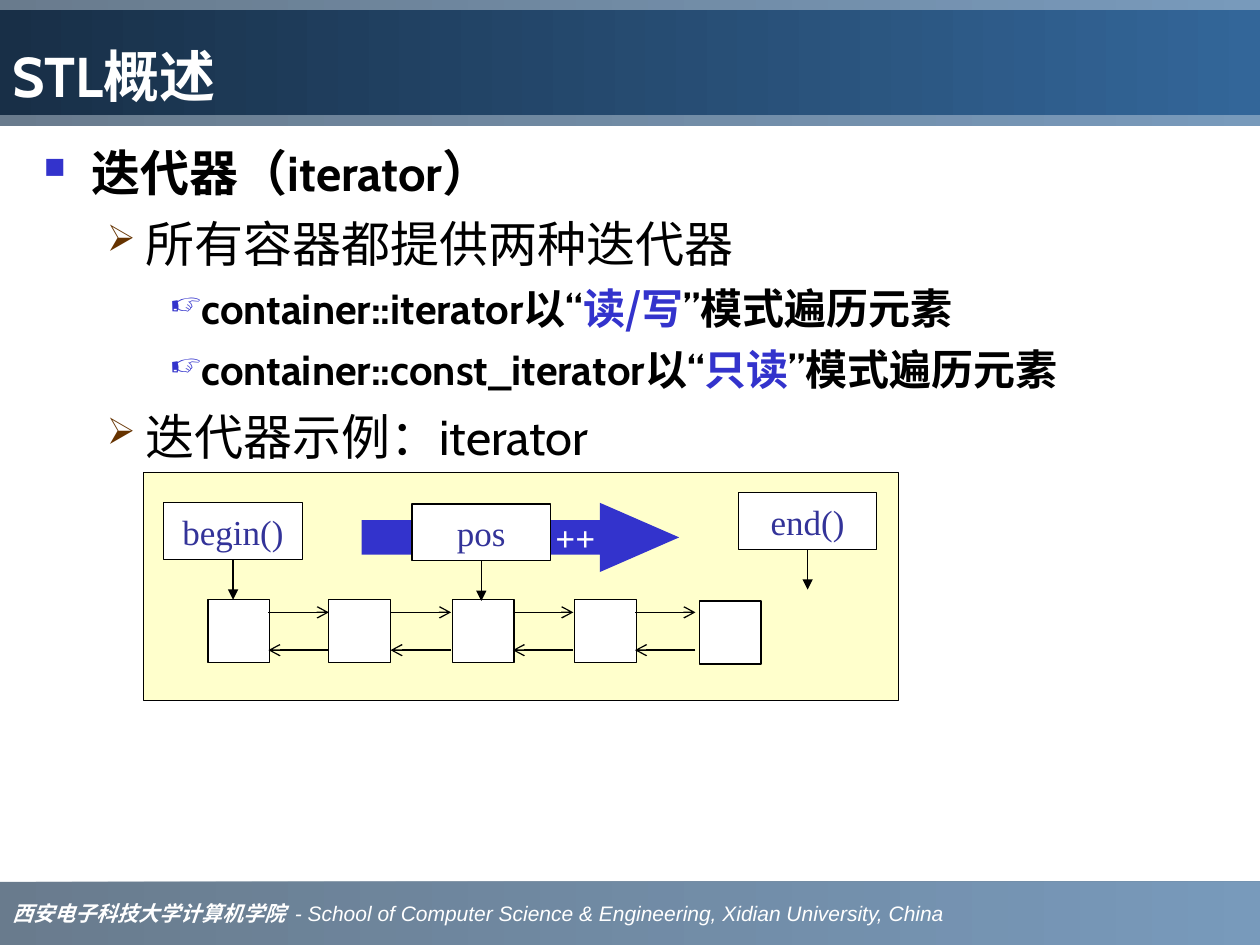
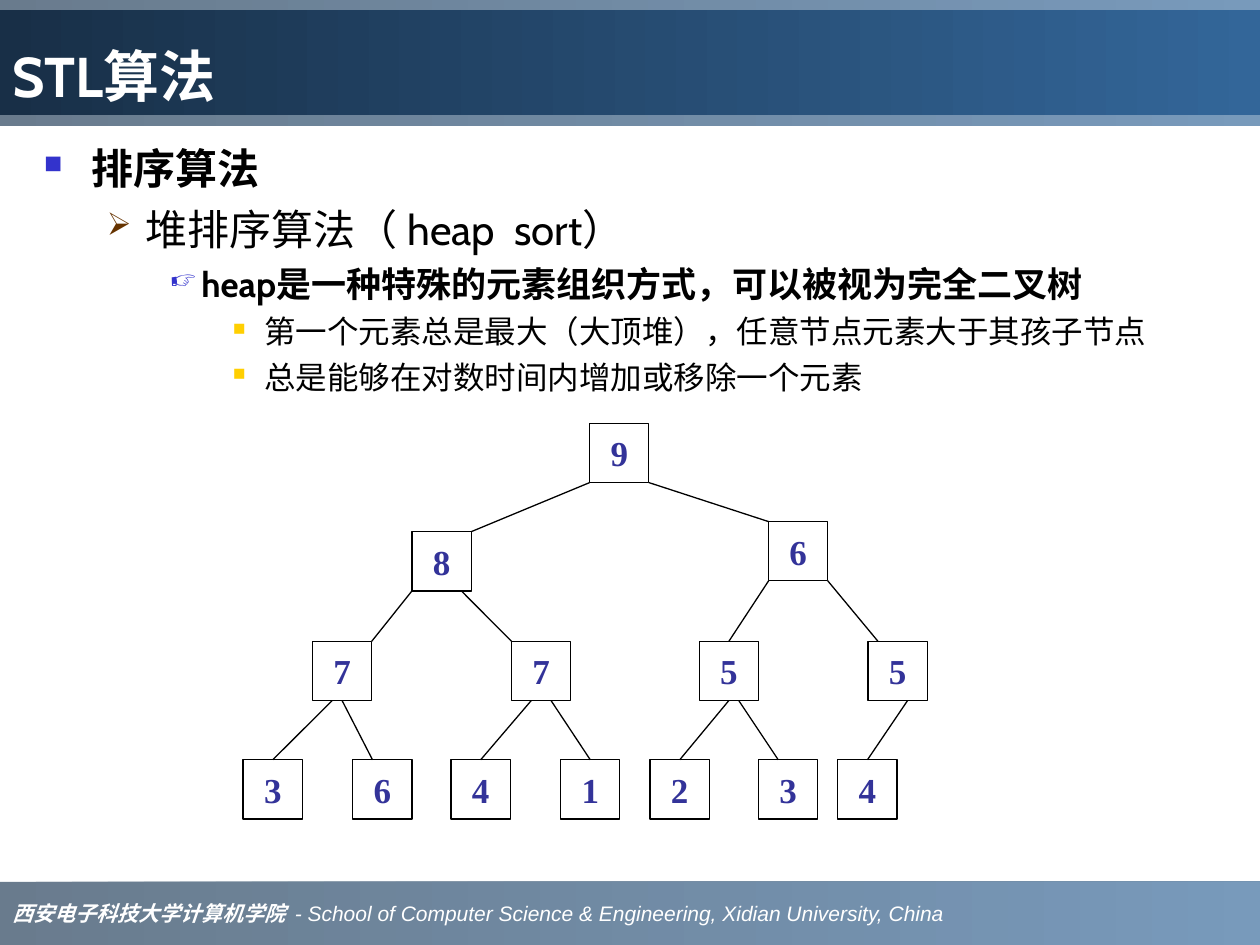
"""Build two lecture slides: STL iterators and the heap sort tree."""
from dataclasses import dataclass

from lxml import etree
from pptx import Presentation
from pptx import util as u
from pptx.dml.color import RGBColor
from pptx.enum import shapes, text
from pptx.oxml import ns


@dataclass(frozen=True)
class Theme:
    ink: str = "000000"
    white: str = "FFFFFF"
    blue: str = "3333CC"
    label: str = "333399"
    brown: str = "663300"
    gold: str = "FFCF01"
    panel: str = "FFFFCC"
    band: tuple = ("1C3853", "336699")
    title_band: tuple = ("182F47", "336699")
    band_alpha: int = 66
    font: str = "Cabin"
    serif: str = "Times New Roman"
    cjk: str = "Noto Sans CJK SC"
    sans: str = "Arial"
    title_size: int = 32
    label_size: int = 20
    footer_size: int = 12
    line_width: float = 0.75


THEME = Theme()
SERIF = {"font": THEME.serif}
BLUE = {"color": THEME.blue}

FOOTER = [
    ("西安电子科技大学计算机学院  ", {"font": THEME.serif, "bold": True}),
    ("- School of Computer Science & Engineering, Xidian University, China", {"font": THEME.sans}),
]

LEVELS = [
    {"indent": 0.38, "hang": 0.38, "bullet": "■", "color": THEME.blue, "scale": 60, "bold": True},
    {"indent": 0.81, "hang": 0.31, "bullet": "➢", "color": THEME.brown, "scale": 75, "bold": False},
    {"indent": 1.25, "hang": 0.25, "bullet": "☞", "color": THEME.blue, "scale": 75, "bold": True},
    {"indent": 1.75, "hang": 0.25, "bullet": "■", "color": THEME.gold, "scale": 55, "bold": False},
]

ITERATOR_OUTLINE = [
    (0, 28, 0, ["迭代器（iterator）"]),
    (1, 28, 7, ["所有容器都提供两种迭代器"]),
    (2, 24, 6, ["container::iterator以", ("“", SERIF), ("读/写", {"font": THEME.cjk, **BLUE}),
                ("”", SERIF), "模式遍历元素"]),
    (2, 24, 6, ["container::const_iterator以", ("“", SERIF), ("只读", BLUE),
                ("”", SERIF), "模式遍历元素"]),
    (1, 28, 7, ["迭代器示例：iterator"]),
]
HEAP_OUTLINE = [
    (0, 24, 0, ["排序算法"]),
    (1, 24, 6, ["堆排序算法（ heap  sort）"]),
    (2, 20, 5, ["heap是一种特殊的元素组织方式，可以被视为完全二叉树"]),
    (3, 18, 4.5, ["第一个元素总是最大（大顶堆），任意节点元素大于其孩子节点"]),
    (3, 18, 4.5, ["总是能够在对数时间内增加或移除一个元素"]),
]

LIST_CELLS = [(1.65, 4.76), (2.61, 4.76), (3.59, 4.76), (4.56, 4.76), (5.55, 4.77)]
LINK_START, LINK_STEP, LINK_LENGTH = 2.13, 0.97, 0.48
NEXT_Y, PREVIOUS_Y = 4.86, 5.16
POINTERS = [("begin()", 1.3, 3.99), ("end()", 5.86, 3.91), ("pos", 3.27, 4.0)]
POINTER_SIZE, POINTER_DROP = (1.1, 0.45), 0.32

NODE = 0.47
# Value, left, top, then where the edge leaves the parent and meets the node, in sixths of a side.
HEAP = [
    ("9", 4.68, 3.36, None, None),
    ("8", 3.27, 4.22, 0, 6), ("6", 6.1, 4.14, 6, 0),
    ("7", 2.48, 5.09, 0, 6), ("7", 4.06, 5.09, 5, 0),
    ("5", 5.55, 5.09, 0, 3), ("5", 6.89, 5.09, 6, 1),
    ("3", 1.93, 6.03, 2, 3), ("6", 2.8, 6.03, 3, 2),
    ("4", 3.58, 6.03, 2, 3), ("1", 4.45, 6.03, 4, 3),
    ("2", 5.16, 6.03, 3, 3), ("3", 6.02, 6.03, 4, 2),
    ("4", 6.65, 6.03, 4, 3),
]


def add_xml(parent, tag, **attributes):
    return etree.SubElement(parent, ns.qn(tag), **attributes)


def set_bullet(paragraph, level):
    properties = paragraph._p.get_or_add_pPr()
    properties.set("marL", str(u.Inches(level["indent"])))
    properties.set("indent", str(-u.Inches(level["hang"])))
    add_xml(add_xml(properties, "a:buClr"), "a:srgbClr", val=level["color"])
    add_xml(properties, "a:buSzPct", val=str(level["scale"] * 1000))
    add_xml(properties, "a:buChar", char=level["bullet"])


def write(paragraph, runs, *, size, color=THEME.ink, font=THEME.font, bold=False,
          italic=False, align=text.PP_ALIGN.LEFT, before=0):
    paragraph.alignment = align
    if before:
        paragraph.space_before = u.Pt(before)
    for item in runs:
        words, changes = (item, {}) if isinstance(item, str) else item
        run = paragraph.add_run()
        run.text = words
        run.font.size = u.Pt(size)
        run.font.name = changes.get("font", font)
        run.font.bold = changes.get("bold", bold)
        run.font.italic = italic
        run.font.color.rgb = RGBColor.from_string(changes.get("color", color))
        add_xml(run._r.get_or_add_rPr(), "a:ea", typeface=THEME.font)


def prepare_frame(shape, anchor, margins=(0.1, 0.05, 0.1, 0.05)):
    frame = shape.text_frame
    frame.word_wrap = True
    frame.vertical_anchor = anchor
    frame.margin_left, frame.margin_top, frame.margin_right, frame.margin_bottom = map(u.Inches, margins)
    return frame.paragraphs[0]


def add_box(slide, left, top, width, height, fill=THEME.white, outlined=True,
            kind=shapes.MSO_SHAPE.RECTANGLE):
    shape = slide.shapes.add_shape(kind, *map(u.Inches, (left, top, width, height)))
    shape.shadow.inherit = False
    shape.fill.solid()
    shape.fill.fore_color.rgb = RGBColor.from_string(fill)
    if outlined:
        shape.line.color.rgb = RGBColor.from_string(THEME.ink)
        shape.line.width = u.Pt(THEME.line_width)
    else:
        shape.line.fill.background()
    return shape


def add_label(shape, words, **style):
    paragraph = prepare_frame(shape, text.MSO_ANCHOR.MIDDLE, (0, 0, style.pop("right", 0), 0))
    settings = {"size": THEME.label_size, "font": THEME.serif, "color": THEME.label,
                "align": text.PP_ALIGN.CENTER, **style}
    write(paragraph, [words], **settings)


def add_band(slide, top, height, colors, alpha=None):
    band = add_box(slide, 0, top, 10, height, outlined=False)
    band.fill.gradient()
    band.fill.gradient_angle = 0
    for stop, color in zip(band.fill.gradient_stops, colors):
        stop.color.rgb = RGBColor.from_string(color)
    if alpha:
        for color in band.element.spPr.iter(ns.qn("a:srgbClr")):
            add_xml(color, "a:alpha", val=str(alpha * 1000))
    return band


def add_line(slide, start, end, head=None):
    line = slide.shapes.add_connector(shapes.MSO_CONNECTOR.STRAIGHT, *map(u.Inches, (*start, *end)))
    line.line.color.rgb = RGBColor.from_string(THEME.ink)
    line.line.width = u.Pt(THEME.line_width)
    if head:
        add_xml(line.line._get_or_add_ln(), "a:tailEnd", type=head)
    add_xml(line.element.spPr, "a:effectLst")


def add_slide(presentation, title, outline):
    slide = presentation.slides.add_slide(presentation.slide_layouts[6])
    footer = add_band(slide, 7, 0.5, THEME.band, THEME.band_alpha)
    write(prepare_frame(footer, text.MSO_ANCHOR.MIDDLE), FOOTER,
          size=THEME.footer_size, color=THEME.white, italic=True)
    add_band(slide, 0, 1, THEME.band, THEME.band_alpha)
    header = add_band(slide, 0.08, 0.83, THEME.title_band)
    write(prepare_frame(header, text.MSO_ANCHOR.BOTTOM), [title],
          size=THEME.title_size, color=THEME.white, bold=True)
    body = slide.shapes.add_textbox(*map(u.Inches, (0.25, 1.08, 9.42, 5.83)))
    paragraph = prepare_frame(body, text.MSO_ANCHOR.TOP)
    for index, (depth, size, before, runs) in enumerate(outline):
        if index:
            paragraph = body.text_frame.add_paragraph()
        paragraph.level = depth
        set_bullet(paragraph, LEVELS[depth])
        write(paragraph, runs, size=size, bold=LEVELS[depth]["bold"], before=before)
    return slide


def draw_linked_list(slide):
    add_box(slide, 1.14, 3.75, 5.99, 1.81, THEME.panel)
    for left, top in LIST_CELLS:
        add_box(slide, left, top, 0.49, 0.5)
    for index in range(len(LIST_CELLS) - 1):
        start = LINK_START + index * LINK_STEP
        end = start + LINK_LENGTH
        add_line(slide, (start, NEXT_Y), (end, NEXT_Y), "arrow")
        add_line(slide, (end, PREVIOUS_Y), (start, PREVIOUS_Y), "arrow")
    advance = add_box(slide, 2.87, 3.99, 2.52, 0.55, THEME.blue, False, shapes.MSO_SHAPE.RIGHT_ARROW)
    advance.adjustments[0], advance.adjustments[1] = 0.5, 1.145
    add_label(advance, "++", color=THEME.white, bold=True, align=text.PP_ALIGN.RIGHT, right=0.35)
    width, height = POINTER_SIZE
    for name, left, top in POINTERS:
        add_label(add_box(slide, left, top, width, height), name)
        middle, bottom = left + width / 2, top + height
        add_line(slide, (middle, bottom), (middle, bottom + POINTER_DROP), "triangle")


def draw_heap(slide):
    for value, left, top, *_ in HEAP:
        add_label(add_box(slide, left, top, NODE, NODE), value, bold=True)
    for index, (_, left, top, leave, meet) in enumerate(HEAP[1:], 1):
        _, parent_left, parent_top, *_ = HEAP[(index - 1) // 2]
        add_line(slide, (parent_left + NODE * leave / 6, parent_top + NODE),
                 (left + NODE * meet / 6, top))


def main():
    presentation = Presentation()
    presentation.slide_width, presentation.slide_height = u.Inches(10), u.Inches(7.5)
    draw_linked_list(add_slide(presentation, "STL概述", ITERATOR_OUTLINE))
    draw_heap(add_slide(presentation, "STL算法", HEAP_OUTLINE))
    presentation.save("out.pptx")


if __name__ == "__main__":
    main()
